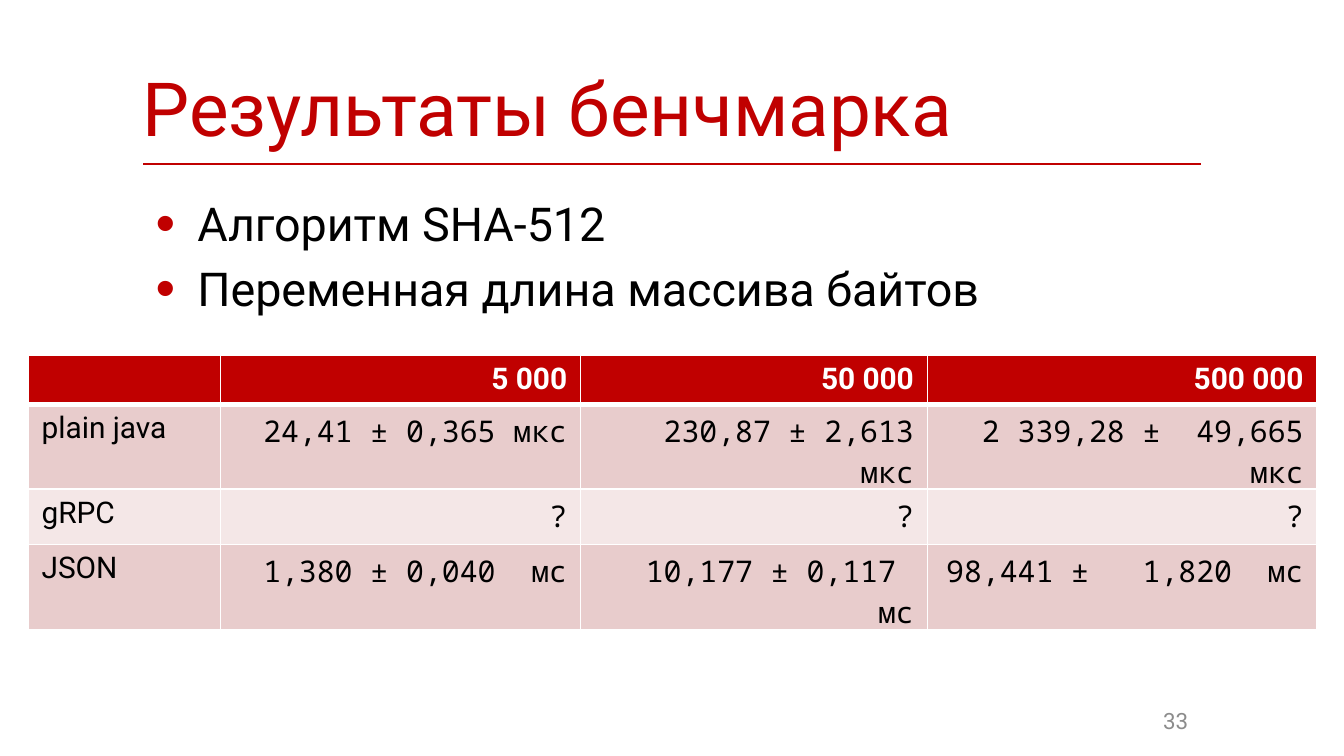
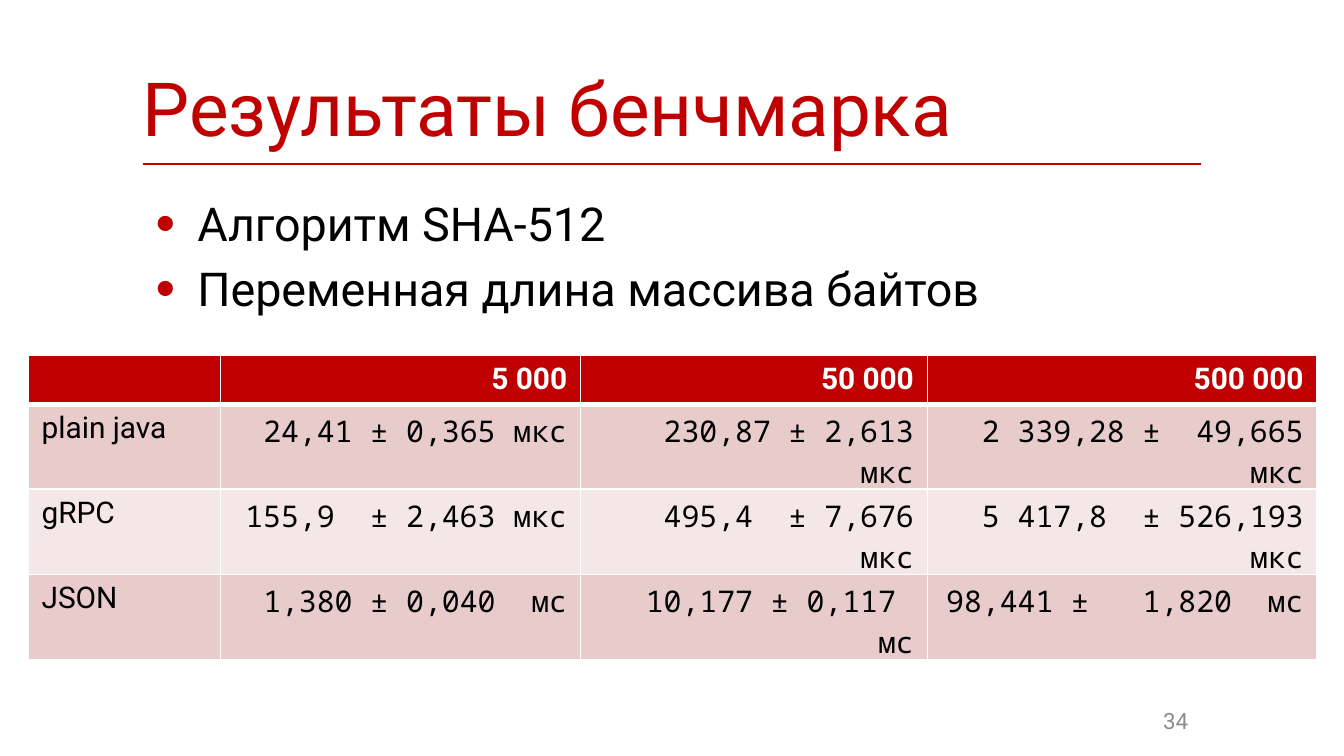
from lxml.etree import SubElement
from pptx import Presentation
from pptx.dml.color import RGBColor
from pptx.enum.text import MSO_ANCHOR, PP_ALIGN
from pptx.oxml.ns import qn
from pptx.util import Inches, Pt

RED = "C00000"
WHITE = "FFFFFF"
BLACK = "000000"
GRAY = "8C8C8C"
BANDS = ("E8CCCC", "F4E7E7")
SANS = "Roboto"
MONO = "Noto Sans Mono"

LEFT, CONTENT_WIDTH = 1.06, 7.88
COLUMN_WIDTHS = (1.43, 2.68, 2.58, 2.9)
HEADER_HEIGHT, ROW_HEIGHT = 0.36, 0.41

TITLE = "Результаты бенчмарка"
BULLETS = ("Алгоритм SHA-512", "Переменная длина массива байтов")
HEADER = ("", "5 000", "50 000", "500 000")
PLAIN_JAVA = ("plain java", "24,41 ± 0,365 мкс", "230,87 ± 2,613 мкс", "2 339,28 ±  49,665 мкс")
GRPC_UNKNOWN = ("gRPC", "?", "?", "?")
GRPC_MEASURED = ("gRPC", "155,9  ± 2,463 мкс", "495,4  ± 7,676 мкс", "5 417,8  ± 526,193 мкс")
JSON = ("JSON", "1,380 ± 0,040  мс", "10,177 ± 0,117  мс", "98,441 ±   1,820  мс")


def color(hex_string):
    return RGBColor.from_string(hex_string)


def add_span(para, text, size, hex_color, font=SANS, bold=False):
    span = para.add_run()
    span.text = text
    span.font.size = Pt(size)
    span.font.name = font
    span.font.bold = bold
    span.font.color.rgb = color(hex_color)


def add_box(page, left, top, width, height):
    box = page.shapes.add_textbox(Inches(left), Inches(top), Inches(width), Inches(height))
    box.text_frame.word_wrap = True
    return box.text_frame


def add_plain_table(page, left, top, column_widths, row_heights):
    """Add a table of the given sizes without header or banding styles."""
    table = page.shapes.add_table(
        len(row_heights), len(column_widths), Inches(left), Inches(top),
        Inches(sum(column_widths)), Inches(sum(row_heights))).table
    table.first_row = table.horz_banding = False
    for column, width in zip(table.columns, column_widths):
        column.width = Inches(width)
    for row, height in zip(table.rows, row_heights):
        row.height = Inches(height)
    return table


def set_borders(cell, bottom_color=WHITE, bottom_width=1, top_width=1):
    """Draw the four sides; must run before the cell gets its fill."""
    properties = cell._tc.get_or_add_tcPr()
    sides = (("L", WHITE, 1), ("R", WHITE, 1),
             ("T", WHITE, top_width), ("B", bottom_color, bottom_width))
    for side, hex_color, width in sides:
        line = SubElement(properties, qn(f"a:ln{side}"), w=str(Pt(width)))
        fill = SubElement(line, qn("a:solidFill"))
        SubElement(fill, qn("a:srgbClr"), val=hex_color)


def add_title(page, text):
    cell = add_plain_table(page, LEFT, 0.45, [CONTENT_WIDTH], [0.77]).cell(0, 0)
    set_borders(cell, bottom_color=RED)
    cell.fill.background()
    cell.margin_left = 0
    add_span(cell.text_frame.paragraphs[0], text, 40, RED)


def add_bullets(page, lines):
    frame = add_box(page, LEFT, 1.4, CONTENT_WIDTH, 3.23)
    for index, line in enumerate(lines):
        para = frame.add_paragraph() if index else frame.paragraphs[0]
        para.space_before = Pt(5)
        add_span(para, line, 25, BLACK)
        properties = para._p.get_or_add_pPr()
        properties.set("marL", str(Inches(0.31)))
        properties.set("indent", str(Inches(-0.31)))
        bullet_color = SubElement(properties, qn("a:buClr"))
        SubElement(bullet_color, qn("a:srgbClr"), val=RED)
        SubElement(properties, qn("a:buSzPct"), val="120000")
        SubElement(properties, qn("a:buFont"), typeface="Arial")
        SubElement(properties, qn("a:buChar"), char="•")


def add_page_number(page, number):
    frame = add_box(page, 7.17, 5.21, 1.77, 0.3)
    frame.vertical_anchor = MSO_ANCHOR.MIDDLE
    para = frame.paragraphs[0]
    para.alignment = PP_ALIGN.RIGHT
    add_span(para, str(number), 12, GRAY)


def fill_cell(cell, text, row, column):
    is_header = row == 0
    set_borders(cell, bottom_width=3 if is_header else 1, top_width=3 if row == 1 else 1)
    cell.fill.solid()
    cell.fill.fore_color.rgb = color(RED if is_header else BANDS[(row - 1) % 2])
    para = cell.text_frame.paragraphs[0]
    if column:
        para.alignment = PP_ALIGN.RIGHT
    if text:
        font = SANS if is_header or column == 0 else MONO
        add_span(para, text, 16, WHITE if is_header else BLACK, font, is_header)
    else:
        # An empty cell would otherwise stretch its row to the default text size.
        end = SubElement(para._p, qn("a:endParaRPr"), sz="1600")
        SubElement(end, qn("a:latin"), typeface=SANS)


def add_results(page, rows):
    heights = [HEADER_HEIGHT] + [ROW_HEIGHT] * (len(rows) - 1)
    table = add_plain_table(page, 0.21, 2.64, COLUMN_WIDTHS, heights)
    for row, texts in enumerate(rows):
        for column, text in enumerate(texts):
            fill_cell(table.cell(row, column), text, row, column)


def add_benchmark_page(deck, number, grpc):
    page = deck.slides.add_slide(deck.slide_layouts[6])
    add_title(page, TITLE)
    add_bullets(page, BULLETS)
    add_page_number(page, number)
    add_results(page, (HEADER, PLAIN_JAVA, grpc, JSON))


def main():
    deck = Presentation()
    deck.slide_width = Inches(10)
    deck.slide_height = deck.slide_width * 9 // 16
    for number, grpc in enumerate((GRPC_UNKNOWN, GRPC_MEASURED), start=33):
        add_benchmark_page(deck, number, grpc)
    deck.save("out.pptx")


if __name__ == "__main__":
    main()
